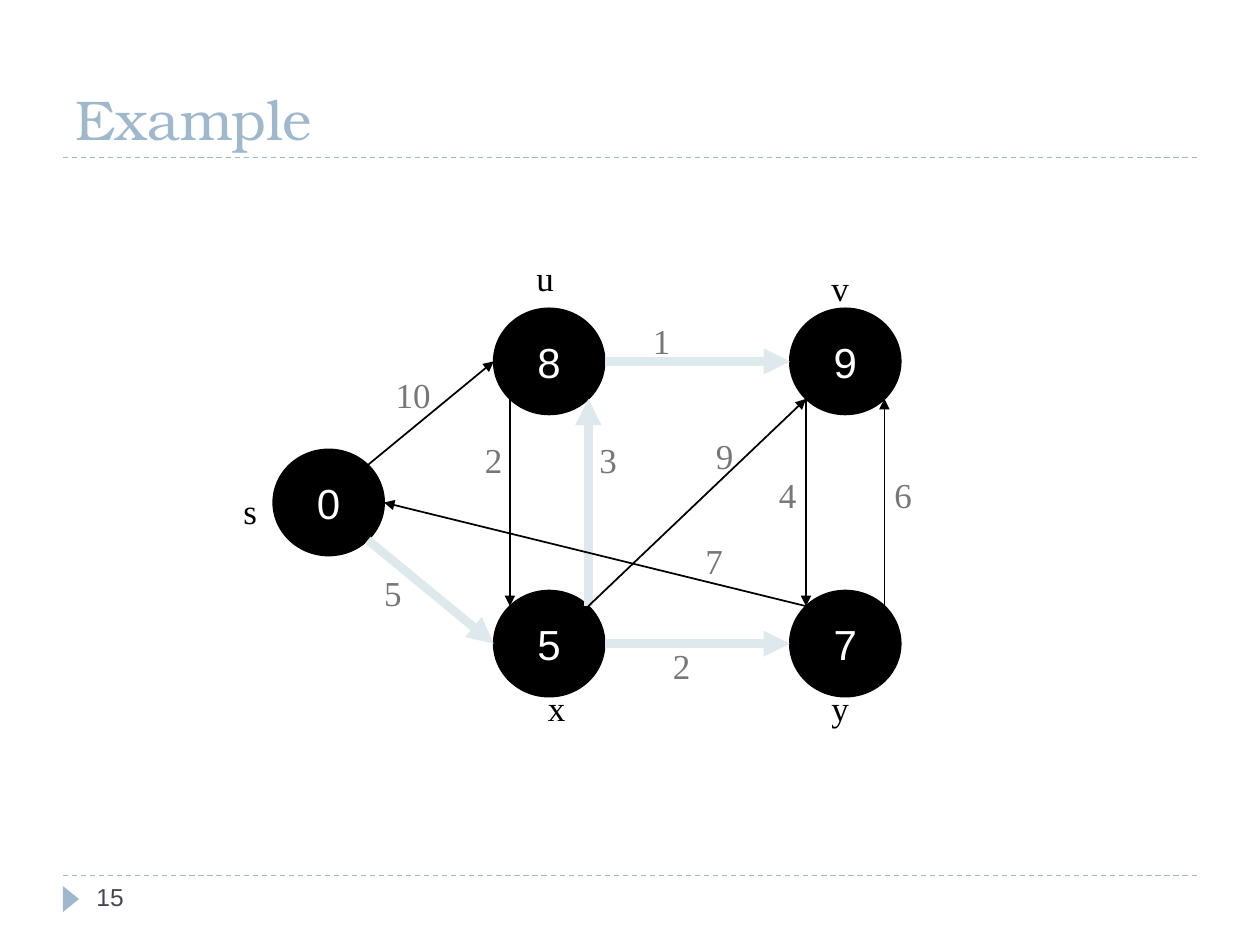
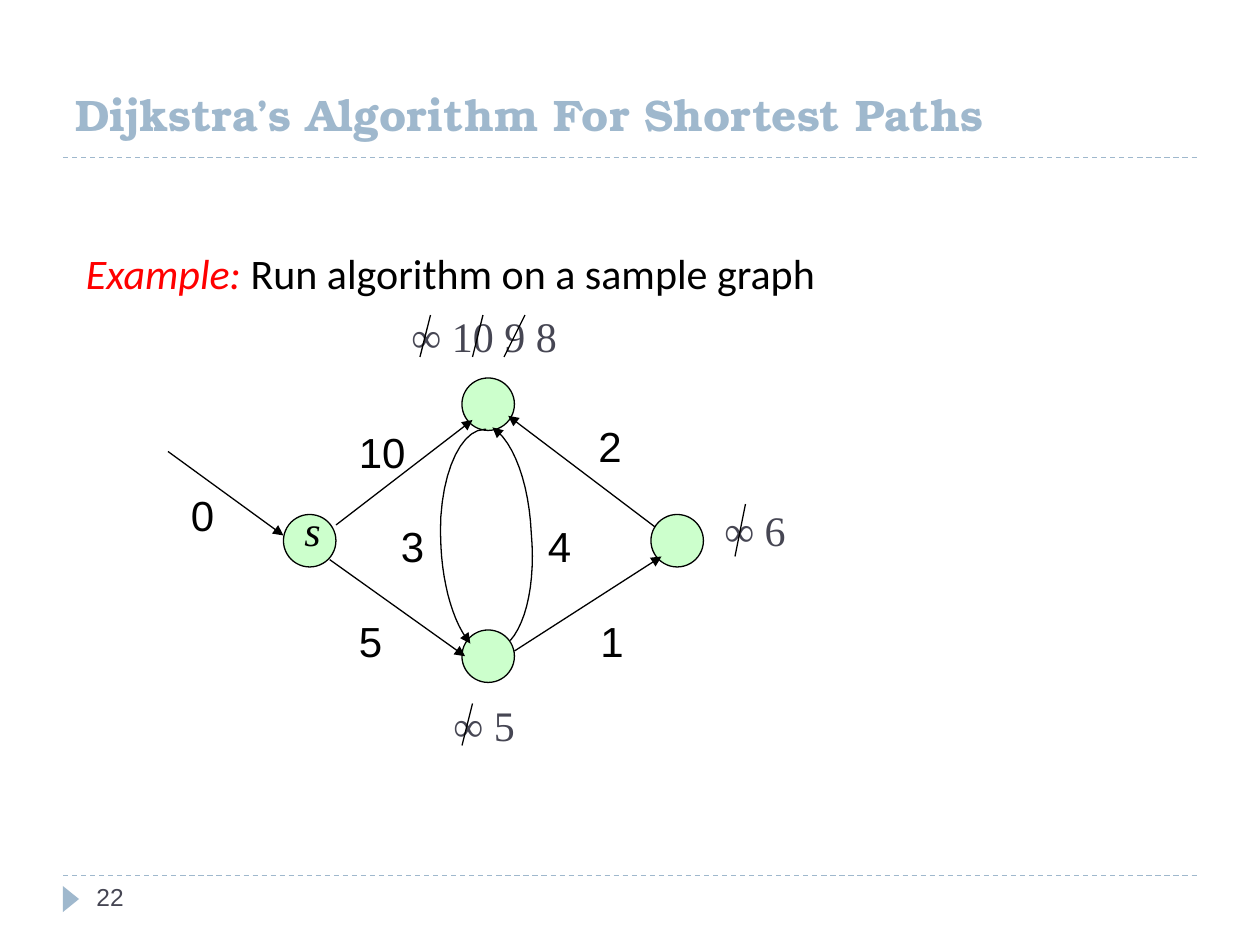
"""Two slides on shortest paths: a weighted digraph and a run of Dijkstra's algorithm."""
from dataclasses import dataclass
from math import cos, radians, sin
from typing import NamedTuple

from lxml import etree
from pptx import Presentation
from pptx.dml.color import RGBColor
from pptx.enum.dml import MSO_LINE
from pptx.enum.shapes import MSO_CONNECTOR, MSO_SHAPE
from pptx.enum.text import MSO_ANCHOR, PP_ALIGN
from pptx.oxml.ns import qn
from pptx.util import Emu, Inches, Pt

STRAIGHT = MSO_CONNECTOR.STRAIGHT
ELLIPSE = MSO_SHAPE.OVAL
TRIANGLE = MSO_SHAPE.ISOSCELES_TRIANGLE
DASH = MSO_LINE.DASH
TOP, MIDDLE, BOTTOM = MSO_ANCHOR.TOP, MSO_ANCHOR.MIDDLE, MSO_ANCHOR.BOTTOM
CENTER = PP_ALIGN.CENTER

SLIDE_WIDTH, SLIDE_HEIGHT = Inches(10), Inches(7.5)
COLUMNS = 120
CELL = SLIDE_WIDTH / COLUMNS

BLACK, WHITE, RED = "000000", "FFFFFF", "FF0000"
ACCENT, INK, WEIGHT_GREY = "9FB8CD", "464653", "777777"
TREE_EDGE, PALE_GREEN = "DDE9EC", "CCFFCC"
TITLE_FONT, SANS, SERIF, BODY = "TeX Gyre Bonum", "Arial", "Times New Roman", "Calibri"
CURVE_STEPS = 12

Point = tuple[float, float]


class Box(NamedTuple):
    """A rectangle in grid cells."""
    left: float
    top: float
    width: float
    height: float


class Style(NamedTuple):
    """The look of a run of text."""
    size: float
    font: str
    color: str
    bold: bool = False
    italic: bool = False


@dataclass(frozen=True)
class Node:
    """A graph vertex: its centre, size and the distance shown in it."""
    x: float
    y: float
    width: float
    height: float
    distance: str = ""

    def rim(self, degrees: float) -> Point:
        """Return the point of the outline at an angle, clockwise from the right."""
        angle = radians(degrees)
        return self.x + self.width / 2 * cos(angle), self.y + self.height / 2 * sin(angle)


class Edge(NamedTuple):
    """An arrow between the rims of two named nodes."""
    source: str
    leaving: float
    target: str
    arriving: float
    on_tree: bool = False


class Label(NamedTuple):
    """A short text at a place on the grid."""
    text: str
    left: float
    top: float
    width: float = 7


NAME = Style(20, SERIF, BLACK)
WEIGHT = Style(20, SERIF, WEIGHT_GREY)
DISTANCE = Style(24, SANS, WHITE)
COST = Style(24, SANS, BLACK)
ESTIMATE = Style(24, SERIF, INK)
SOURCE = Style(24, SERIF, BLACK, italic=True)

LEFT, RIGHT = 180, 0
BOTTOM_RIGHT, BOTTOM_LEFT, TOP_LEFT, TOP_RIGHT = 45, 135, 225, 315

SIZE = (10.56, 10.1)
COLUMN_S, COLUMN_UX, COLUMN_VY = 31.3, 52.3, 80.5
ROW_TOP, ROW_STEP = 34.42, 13.44
DIGRAPH = {
    "u": Node(COLUMN_UX, ROW_TOP, *SIZE, "8"),
    "v": Node(COLUMN_VY, ROW_TOP, *SIZE, "9"),
    "x": Node(COLUMN_UX, ROW_TOP + 2 * ROW_STEP, *SIZE, "5"),
    "y": Node(COLUMN_VY, ROW_TOP + 2 * ROW_STEP, *SIZE, "7"),
    "s": Node(COLUMN_S, ROW_TOP + ROW_STEP, *SIZE, "0"),
}
DIGRAPH_EDGES = [
    Edge("x", TOP_RIGHT, "u", BOTTOM_RIGHT, True),
    Edge("u", BOTTOM_LEFT, "x", TOP_LEFT),
    Edge("u", RIGHT, "v", LEFT, True),
    Edge("x", TOP_RIGHT, "v", BOTTOM_LEFT),
    Edge("v", BOTTOM_LEFT, "y", TOP_LEFT),
    Edge("y", TOP_RIGHT, "v", BOTTOM_RIGHT),
    Edge("x", RIGHT, "y", LEFT, True),
    Edge("y", TOP_LEFT, "s", RIGHT),
    Edge("s", BOTTOM_RIGHT, "x", LEFT, True),
    Edge("s", TOP_RIGHT, "u", LEFT),
]
NODE_NAMES = [Label("u", 49.9, 23.8), Label("v", 78, 24.8), Label("y", 78, 64.8),
              Label("x", 51, 64.8), Label("s", 22, 46)]
EDGE_WEIGHTS = [
    Label("5", 35.4, 53.8, 10.5), Label("10", 36.5, 35, 10.5), Label("1", 61, 29.8, 10.5),
    Label("2", 45, 41.2), Label("3", 55.9, 41.2), Label("9", 67, 40.8),
    Label("4", 73, 44.5), Label("6", 84, 44.5), Label("7", 66, 50.8), Label("2", 62.9, 60.8),
]

DOT = (5, 5)
SAMPLE_NODES = [Node(29.5, 51.5, *DOT), Node(46.5, 38.5, *DOT),
                Node(46.5, 62.5, *DOT), Node(64.5, 51.5, *DOT)]
SAMPLE_ARROWS = [((32, 50), (45, 40)), ((31.4, 53.3), (44.3, 62.5)),
                 ((62.4, 50.2), (48.4, 39.6)), ((49, 62), (63, 53)), ((16, 43), (27, 51))]
SAMPLE_CURVES = [
    [(46.3, 40.9), (46.2, 40.9), (46.2, 40.9), (46.1, 40.9),
     (43.6, 41), (41.6, 46.1), (42, 52.1), (42.2, 55.9), (43.2, 59.4), (44.8, 61.3)],
    [(48.6, 61), (50.2, 59.2), (51, 55.2), (50.6, 50.8),
     (50.4, 46.2), (49, 42.1), (46.9, 40.7)],
]
STRIKES = [((41, 30), (40, 34)), ((46, 30), (45, 34)), ((45, 67), (44, 71)),
           ((50, 30), (48, 34)), ((71, 48), (70, 53))]
COSTS = [Label("4", 51, 49), Label("3", 37, 49), Label("2", 55.8, 39.5), Label("10", 33, 40),
         Label("5", 33, 58), Label("1", 56, 58), Label("0", 17, 46)]
ESTIMATES = [Label("∞ 5", 42, 66, 9), Label("∞ 10 9 8", 38, 29, 17), Label("∞ 6", 67.8, 47.5, 9)]


def cells(*amounts: float) -> list[Emu]:
    """Convert grid cells to slide lengths."""
    return [Emu(round(amount * CELL)) for amount in amounts]


def rgb(color: str) -> RGBColor:
    """Turn a hex string into a colour."""
    return RGBColor.from_string(color)


def add_run(paragraph, text: str, style: Style) -> None:
    """Append one styled run."""
    run = paragraph.add_run()
    run.text = text
    font = run.font
    font.size, font.name = Pt(style.size), style.font
    font.bold, font.italic = style.bold, style.italic
    font.color.rgb = rgb(style.color)


def add_text(slide, box: Box, runs: list[tuple[str, Style]], anchor=TOP):
    """Place a wrapped text box and return its paragraph."""
    frame = slide.shapes.add_textbox(*cells(*box)).text_frame
    frame.word_wrap = True
    frame.vertical_anchor = anchor
    for text, style in runs:
        add_run(frame.paragraphs[0], text, style)
    return frame.paragraphs[0]


def add_labels(slide, labels: list[Label], style: Style) -> None:
    """Place labels that share a style."""
    height = style.size / 4
    for label in labels:
        add_text(slide, Box(label.left, label.top, label.width, height), [(label.text, style)])


def add_arrowhead(shape) -> None:
    """Put a triangle at the end of a line."""
    outline = shape.element.spPr.find(qn("a:ln"))
    etree.SubElement(outline, qn("a:tailEnd"), type="triangle")


def add_line(slide, start: Point, end: Point, color: str = BLACK, width: float = 0.75,
             arrow: bool = False, dash=None) -> None:
    """Draw a straight line, dashed or with an arrowhead on request."""
    connector = slide.shapes.add_connector(STRAIGHT, *cells(*start, *end))
    connector.line.color.rgb = rgb(color)
    connector.line.width = Pt(width)
    if dash:
        connector.line.dash_style = dash
    if arrow:
        add_arrowhead(connector)
    etree.SubElement(connector.element.spPr, qn("a:effectLst"))


def bezier(a: Point, b: Point, c: Point, d: Point) -> list[Point]:
    """Sample a cubic curve, leaving out its first point."""
    points = []
    for step in range(1, CURVE_STEPS + 1):
        t = step / CURVE_STEPS
        shares = ((1 - t) ** 3, 3 * t * (1 - t) ** 2, 3 * t * t * (1 - t), t ** 3)
        points.append(tuple(sum(s * p[axis] for s, p in zip(shares, (a, b, c, d)))
                            for axis in (0, 1)))
    return points


def add_curve(slide, controls: list[Point]) -> None:
    """Draw a curved arrow through joined cubic segments."""
    points = [point for first in range(0, len(controls) - 1, 3)
              for point in bezier(*controls[first:first + 4])]
    builder = slide.shapes.build_freeform(*cells(*controls[0]))
    builder.add_line_segments([cells(*point) for point in points], close=False)
    curve = builder.convert_to_shape()
    curve.shadow.inherit = False
    curve.fill.background()
    curve.line.color.rgb = rgb(BLACK)
    curve.line.width = Pt(0.75)
    add_arrowhead(curve)


def add_node(slide, node: Node, fill: str, line_width: float) -> None:
    """Draw a vertex with its distance, if any."""
    box = Box(node.x - node.width / 2, node.y - node.height / 2, node.width, node.height)
    ellipse = slide.shapes.add_shape(ELLIPSE, *cells(*box))
    ellipse.shadow.inherit = False
    ellipse.fill.solid()
    ellipse.fill.fore_color.rgb = rgb(fill)
    ellipse.line.color.rgb = rgb(BLACK)
    ellipse.line.width = Pt(line_width)
    if node.distance:
        frame = ellipse.text_frame
        frame.word_wrap = False
        frame.vertical_anchor = MIDDLE
        frame.paragraphs[0].alignment = CENTER
        add_run(frame.paragraphs[0], node.distance, DISTANCE)


def add_base(deck, title: str, title_box: Box, title_style: Style, number: str):
    """Add a slide with its rules, page marker, title and number."""
    slide = deck.slides.add_slide(deck.slide_layouts[6])
    for row in (83.4, 15):
        add_line(slide, (6, row), (114, row), ACCENT, dash=DASH)
    marker = slide.shapes.add_shape(TRIANGLE, *cells(5.5, 84.85, 2.5, 1.55))
    marker.rotation = 90
    marker.shadow.inherit = False
    marker.fill.solid()
    marker.fill.fore_color.rgb = rgb(ACCENT)
    marker.line.fill.background()
    add_text(slide, title_box, [(title, title_style)], BOTTOM)
    add_text(slide, Box(8, 83.4, 26, 4.8), [(number, Style(14, SANS, INK))])
    return slide


def build_digraph(deck) -> None:
    """Build the slide with the finished distances."""
    slide = add_base(deck, "Example", Box(6, 2, 108, 13), Style(32, TITLE_FONT, ACCENT), "15")
    for node in DIGRAPH.values():
        add_node(slide, node, BLACK, 1)
    for edge in DIGRAPH_EDGES:
        color, width = (TREE_EDGE, 5) if edge.on_tree else (BLACK, 1)
        add_line(slide, DIGRAPH[edge.source].rim(edge.leaving),
                 DIGRAPH[edge.target].rim(edge.arriving), color, width, arrow=True)
    add_labels(slide, NODE_NAMES, NAME)
    add_labels(slide, EDGE_WEIGHTS, WEIGHT)


def build_sample_run(deck) -> None:
    """Build the slide with the struck-out estimates."""
    slide = add_base(deck, "Dijkstra’s Algorithm For Shortest Paths", Box(6, 8, 108, 6),
                     Style(25.2, TITLE_FONT, ACCENT, bold=True), "22")
    add_text(slide, Box(7, 23, 104, 56), [
        ("Example: ", Style(24, BODY, RED, italic=True)),
        ("Run algorithm on a sample graph", Style(24, BODY, BLACK))])
    for node in SAMPLE_NODES:
        add_node(slide, node, PALE_GREEN, 0.75)
    for start, end in SAMPLE_ARROWS:
        add_line(slide, start, end, arrow=True)
    for controls in SAMPLE_CURVES:
        add_curve(slide, controls)
    add_labels(slide, COSTS, COST)
    add_labels(slide, [Label("s", 27.8, 47.5, 4)], SOURCE)
    add_labels(slide, ESTIMATES, ESTIMATE)
    for start, end in STRIKES:
        add_line(slide, start, end)


def main() -> None:
    """Build and save the deck."""
    deck = Presentation()
    deck.slide_width, deck.slide_height = SLIDE_WIDTH, SLIDE_HEIGHT
    build_digraph(deck)
    build_sample_run(deck)
    deck.save("out.pptx")


if __name__ == "__main__":
    main()
